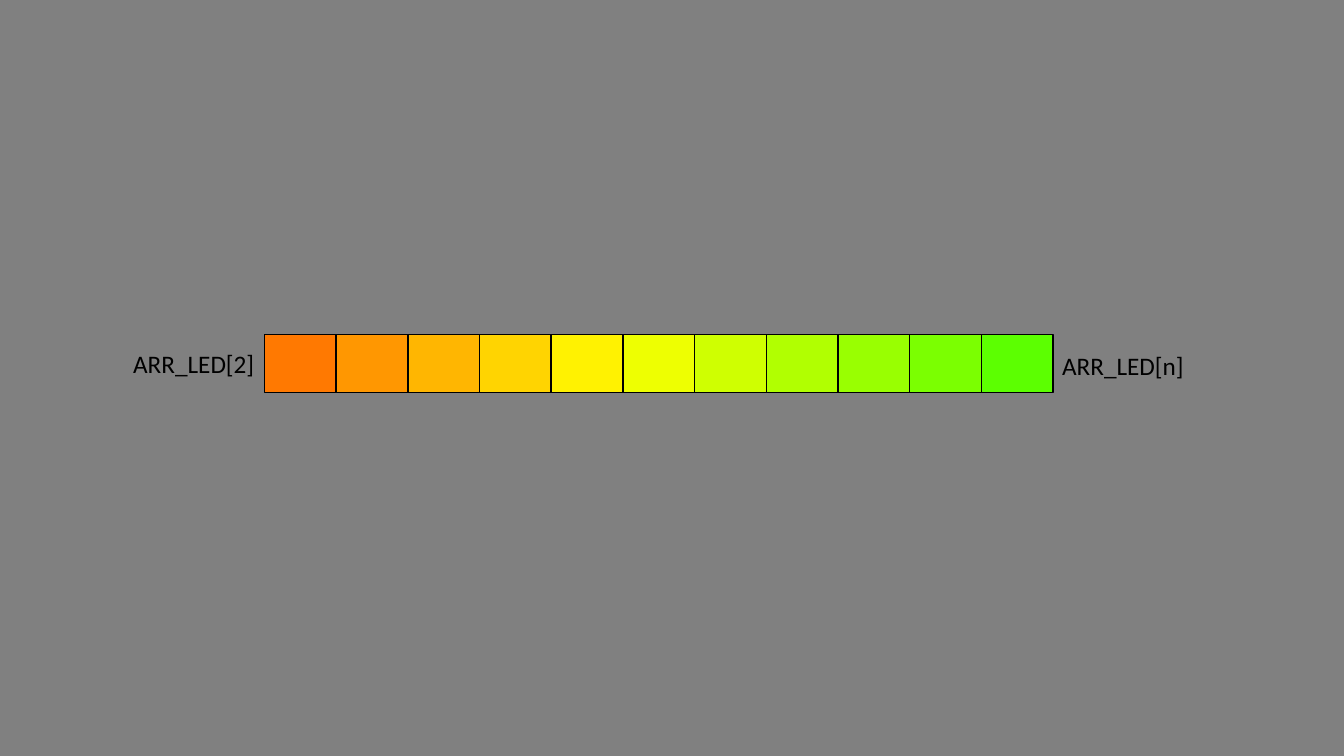
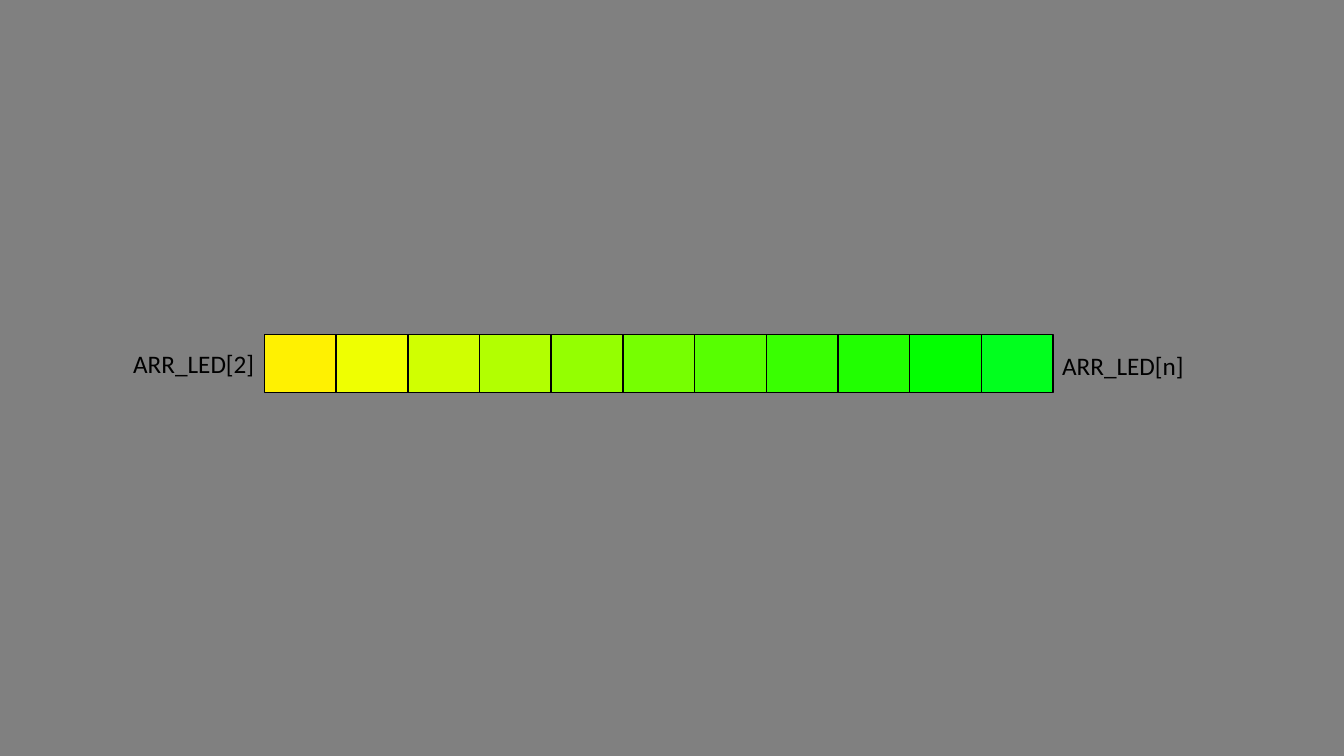
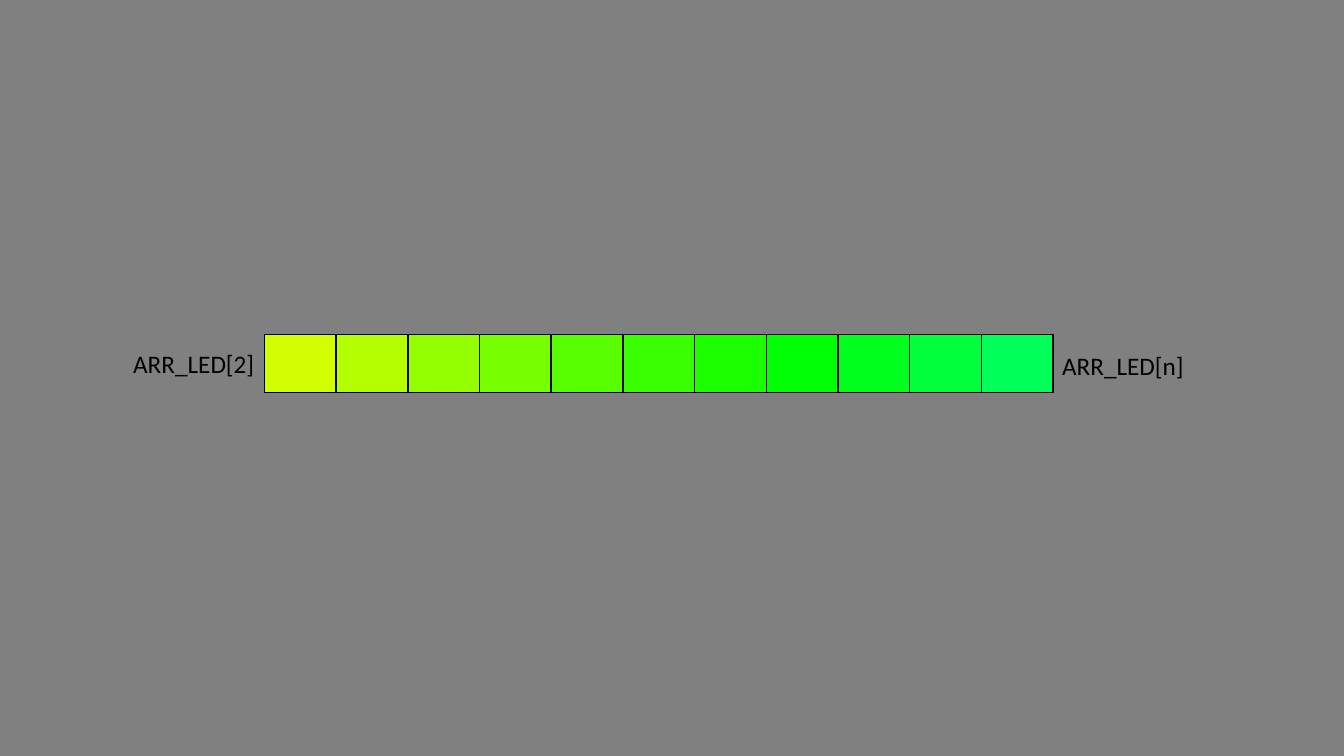
"""Build three slides of an LED strip whose rainbow shifts along."""
from pptx import Presentation
from pptx.dml.color import RGBColor
from pptx.enum.shapes import MSO_SHAPE
from pptx.enum.text import MSO_AUTO_SIZE
from pptx.util import Inches, Pt

BLACK = RGBColor(0x00, 0x00, 0x00)
GRAY = RGBColor(0x80, 0x80, 0x80)
FONT = "Calibri"
WIDTH, HEIGHT = Inches(13.33), Inches(7.5)
COL, ROW = WIDTH / 18.75, HEIGHT / 13
LEFT, TOP = 3.69, 5.75
LEDS = 11
STARTS = (121, 241, 301)


def hue(start, led):
    step = start + round(30.26 * led) - (6 if led > 7 else 0)
    if step <= 255:
        return RGBColor(255, step, 1)
    if step < 510:
        return RGBColor(510 - step, 255, 1)
    return RGBColor(1, 255, step - 508)


class Deck:
    def __init__(self):
        self.show = Presentation()
        self.show.slide_width, self.show.slide_height = WIDTH, HEIGHT
        back = self.show.slide_master.background.fill
        back.solid()
        back.fore_color.rgb = GRAY

    def page(self):
        self.slide = self.show.slides.add_slide(self.show.slide_layouts[6])

    def place(self, col, row, wide, high):
        return round(col * COL), round(row * ROW), round(wide * COL), round(high * ROW)

    def cell(self, col, row, color):
        box = self.slide.shapes.add_shape(MSO_SHAPE.RECTANGLE, *self.place(col, row, 1, 1))
        box.shadow.inherit = False
        box.fill.solid()
        box.fill.fore_color.rgb = color
        box.line.color.rgb = BLACK
        box.line.width = Pt(1)

    def label(self, col, row, text):
        frame = self.slide.shapes.add_textbox(*self.place(col, row, 2, 0.69)).text_frame
        frame.word_wrap = False
        frame.auto_size = MSO_AUTO_SIZE.SHAPE_TO_FIT_TEXT
        line = frame.paragraphs[0]
        line.text = text
        line.font.name, line.font.size = FONT, Pt(18)
        line.font.color.rgb = BLACK

    def strip(self, start):
        for led in range(LEDS):
            self.cell(LEFT + led, TOP, hue(start, led))
        self.label(1.72, 5.91, "ARR_LED[2]")
        self.label(14.68, 5.93, "ARR_LED[n]")


def main():
    deck = Deck()
    for start in STARTS:
        deck.page()
        deck.strip(start)
    deck.show.save("out.pptx")


if __name__ == "__main__":
    main()
